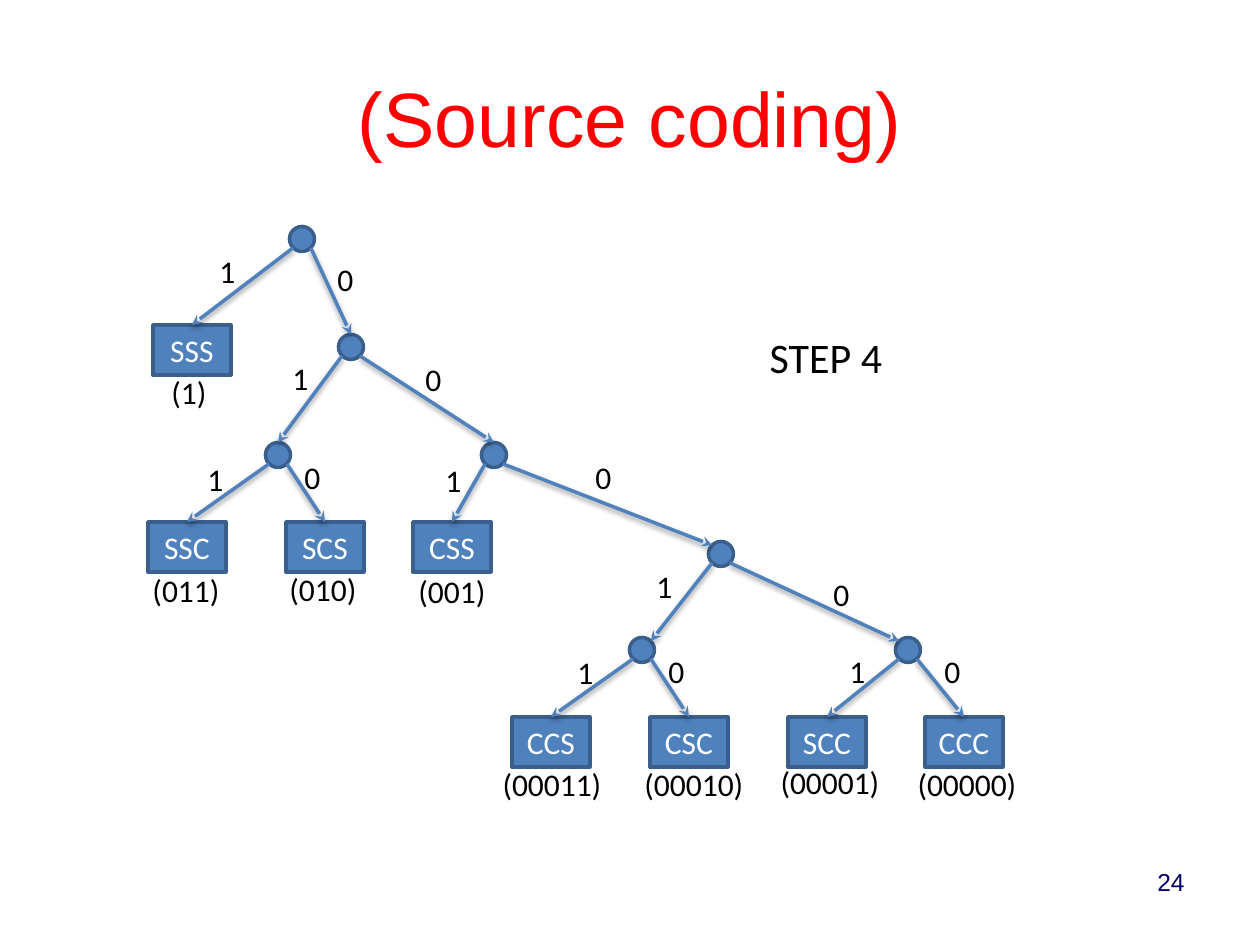
from lxml import etree
from pptx import Presentation
from pptx import util as u
from pptx.dml.color import RGBColor
from pptx.enum import shapes, text
from pptx.oxml import parse_xml
from pptx.oxml.ns import nsdecls, qn

PX = u.Inches(1) / 126
COLORS = {"title": "FF0000", "fill": "4F81BD", "border": "3A5F8C",
          "light": "FFFFFF", "dark": "000000", "number": "000066"}
SHADOW = (f'<a:effectLst {nsdecls("a")}><a:outerShdw blurRad="40000" dist="20000" '
          'dir="5400000" rotWithShape="0"><a:srgbClr val="000000">'
          '<a:alpha val="38000"/></a:srgbClr></a:outerShdw></a:effectLst>')

prs = Presentation()
prs.slide_width, prs.slide_height = u.Inches(10), u.Inches(7.5)
slide = prs.slides.add_slide(prs.slide_layouts[6])


def px(*lengths):
    return [round(length * PX) for length in lengths]


def write(words, box=None, shape=None, size=18, font="Calibri", color="dark",
          align="LEFT", anchor="TOP"):
    frame = (shape or slide.shapes.add_textbox(*px(*box))).text_frame
    frame.word_wrap = True
    frame.vertical_anchor = getattr(text.MSO_ANCHOR, anchor)
    paragraph = frame.paragraphs[0]
    paragraph.alignment = getattr(text.PP_ALIGN, align)
    run = paragraph.add_run()
    run.text = words
    run.font.size = u.Pt(size)
    run.font.name = font
    run.font.color.rgb = RGBColor.from_string(COLORS[color])


write("(Source coding)", (63, 38, 1134, 158), size=44, font="Arial",
      color="title", align="CENTER", anchor="MIDDLE")

NODE, LEAF_W, LEAF_H = 25, 78, 50
centers = {"root": (302, 239), "0": (351, 347), "01": (278, 455), "00": (494, 455),
           "000": (721, 554), "0001": (642, 650), "0000": (908, 650)}
leaves = {"SSS": (192, 325), "SSC": (187, 522), "SCS": (325, 522), "CSS": (452, 522),
          "CCS": (551, 717), "CSC": (689, 717), "SCC": (827, 717), "CCC": (964, 717)}

parts = {}
for name, (x, y) in centers.items():
    parts[name] = slide.shapes.add_shape(
        shapes.MSO_SHAPE.OVAL, *px(x - NODE / 2, y - NODE / 2, NODE, NODE))
for name, (x, top) in leaves.items():
    parts[name] = slide.shapes.add_shape(
        shapes.MSO_SHAPE.RECTANGLE, *px(x - LEAF_W / 2, top, LEAF_W, LEAF_H))
    write(name, shape=parts[name], color="light", align="CENTER", anchor="MIDDLE")
for part in parts.values():
    part.shadow.inherit = False
    part.fill.solid()
    part.fill.fore_color.rgb = RGBColor.from_string(COLORS["fill"])
    part.line.color.rgb = RGBColor.from_string(COLORS["border"])
    part.line.width = u.Pt(2)

branches = [
    ("root", "SSS", "1", 207, 246), ("root", "0", "0", 325, 254),
    ("0", "01", "1", 280, 353), ("0", "00", "0", 413, 354),
    ("01", "SSC", "1", 195, 454), ("01", "SCS", "0", 292, 452),
    ("00", "CSS", "1", 433, 455), ("00", "000", "0", 583, 452),
    ("000", "0001", "1", 644, 561), ("000", "0000", "0", 821, 569),
    ("0001", "CCS", "1", 565, 647), ("0001", "CSC", "0", 656, 646),
    ("0000", "SCC", "1", 837, 646), ("0000", "CCC", "0", 932, 646),
]
side_entries = {"000": -1, "0001": 1, "0000": -1}
diagonal = NODE / 2 * 0.71
for parent, child, bit, left, top in branches:
    x, y = centers[parent]
    start = (x + (diagonal if bit == "0" else -diagonal), y + diagonal)
    end = start
    if child in side_entries:
        x, y = centers[child]
        end = (x + side_entries[child] * diagonal, y - diagonal)
    branch = slide.shapes.add_connector(shapes.MSO_CONNECTOR.STRAIGHT, *px(*start, *end))
    if child not in side_entries:
        branch.end_connect(parts[child], 0)
    branch.line.color.rgb = RGBColor.from_string(COLORS["fill"])
    branch.line.width = u.Pt(2)
    etree.SubElement(branch.line._get_or_add_ln(), qn("a:tailEnd"), type="stealth")
    branch._element.spPr.append(parse_xml(SHADOW))
    write(bit, (left, top, 29, 50))

codes = [("(1)", 189, 367), ("(011)", 186, 565), ("(010)", 323, 564), ("(001)", 452, 566),
         ("(00011)", 552, 759), ("(00010)", 694, 759), ("(00001)", 830, 757),
         ("(00000)", 967, 759)]
for code, x, top in codes:
    width = 137 if len(code) > 5 else 98
    write(code, (x - width / 2, top, width, 50), align="CENTER")

write("STEP 4", (738, 325, 176, 64), size=24, align="CENTER")
write("24", (903, 861, 294, 65), size=14, font="Arial", color="number", align="RIGHT")

prs.save("out.pptx")
